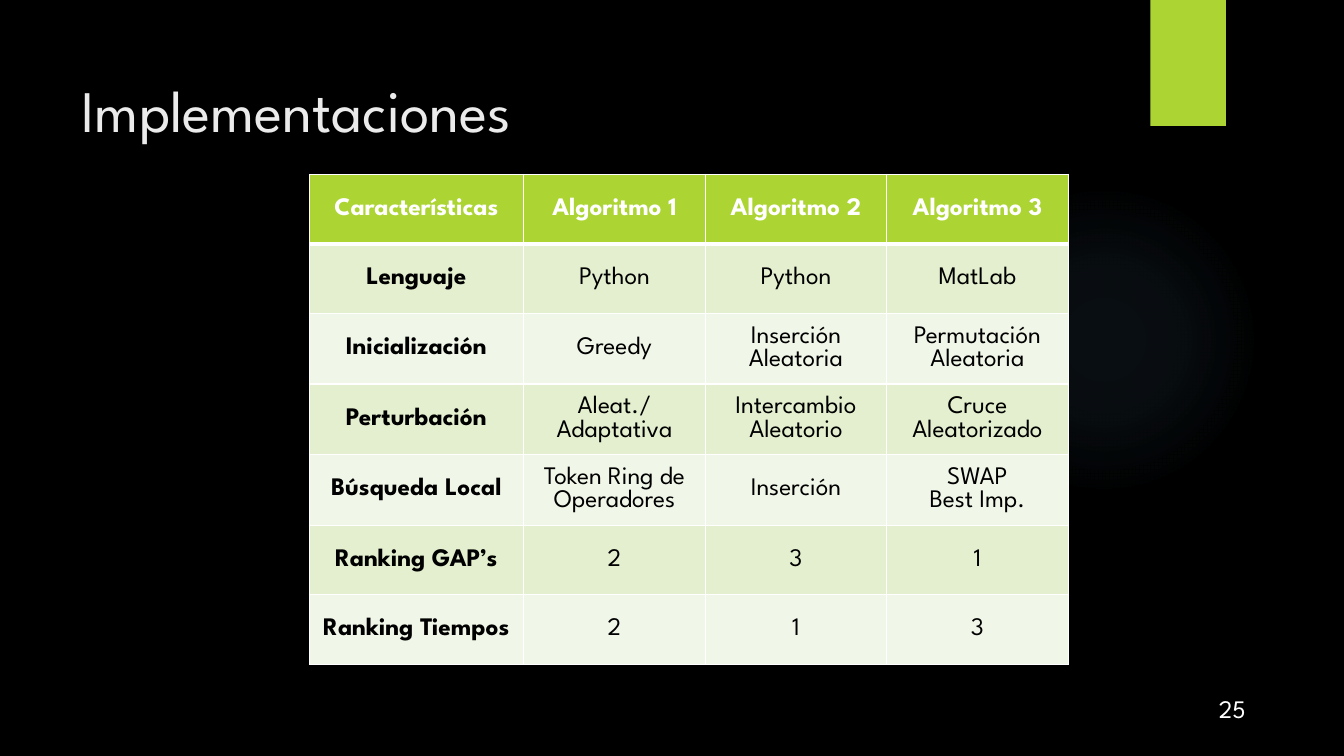
from dataclasses import dataclass

from pptx import Presentation
from pptx.dml.color import RGBColor
from pptx.enum.shapes import MSO_SHAPE
from pptx.enum.text import MSO_ANCHOR, PP_ALIGN
from pptx.oxml import parse_xml
from pptx.oxml.ns import nsdecls
from pptx.util import Inches, Pt

FACE = "League Spartan"
HUES = {
    "back": "000000", "glow": "7AC4F0", "lime": "ACD433", "title": "EBEBEB",
    "white": "FFFFFF", "black": "000000", "odd": "E3EFCE", "even": "F1F7E8",
}
COLS = [2.12, 1.81, 1.79, 1.81]
ROW = 0.69
ROWS = [
    ["Características", "Algoritmo 1", "Algoritmo 2", "Algoritmo 3"],
    ["Lenguaje", "Python", "Python", "MatLab"],
    ["Inicialización", "Greedy", "Inserción Aleatoria", "Permutación Aleatoria"],
    ["Perturbación", "Aleat./\nAdaptativa", "Intercambio\nAleatorio",
     "Cruce\nAleatorizado"],
    ["Búsqueda Local", "Token Ring de Operadores", "Inserción", "SWAP\nBest Imp."],
    ["Ranking GAP’s", "2", "3", "1"],
    ["Ranking Tiempos", "2", "1", "3"],
]


@dataclass
class Label:
    text: str
    box: tuple[float, float, float, float]
    size: int
    hue: str
    anchor: MSO_ANCHOR
    top: float = 0.05


LABELS = [
    Label("25", (11.99, 6.83, 1.03, 0.4), 18, "white", MSO_ANCHOR.BOTTOM),
    Label("Implementaciones", (0.71, 0.5, 10.29, 1.53), 42, "title",
          MSO_ANCHOR.TOP, 0.23),
]


def color(hue: str) -> RGBColor:
    return RGBColor.from_string(HUES[hue])


def style(para, hue: str, size: int = 18, bold: bool = False) -> None:
    look = {"name": FACE, "size": Pt(size), "bold": bold}
    for run in para.runs:
        for key, value in look.items():
            setattr(run.font, key, value)
        run.font.color.rgb = color(hue)


def add_form(slide, kind: MSO_SHAPE, box: tuple, hue: str):
    form = slide.shapes.add_shape(kind, *map(Inches, box))
    form.shadow.inherit = False
    form.fill.solid()
    form.fill.fore_color.rgb = color(hue)
    form.line.fill.background()
    return form


def add_glow(slide) -> None:
    form = add_form(slide, MSO_SHAPE.OVAL, (9.41, 1.83, 3.08, 3.08), "glow")
    stops = "".join(
        f'<a:gs pos="{pos * 1000}"><a:srgbClr val="{HUES["glow"]}">'
        f'<a:alpha val="{alpha * 1000}"/></a:srgbClr></a:gs>'
        for pos, alpha in [(0, 7), (36, 6), (69, 0)])
    grad = parse_xml(
        f'<a:gradFill {nsdecls("a")} rotWithShape="1"><a:gsLst>{stops}</a:gsLst>'
        '<a:path path="circle"><a:fillToRect l="50000" t="50000" r="50000" '
        'b="50000"/></a:path></a:gradFill>')
    props = form.element.spPr
    props.replace(props.find("{*}solidFill"), grad)


def add_tab(slide) -> None:
    """Lime bookmark hanging from the top edge, with a soft shadow."""
    form = add_form(slide, MSO_SHAPE.RECTANGLE, (11.41, 0, 0.75, 1.25), "lime")
    form.element.spPr.find("{*}effectLst").append(parse_xml(
        f'<a:outerShdw {nsdecls("a")} blurRad="{Pt(3)}" dist="{Pt(2)}" '
        f'dir="5400000"><a:srgbClr val="{HUES["black"]}">'
        '<a:alpha val="45000"/></a:srgbClr></a:outerShdw>'))


def add_label(slide, label: Label) -> None:
    frame = slide.shapes.add_textbox(*map(Inches, label.box)).text_frame
    look = {"word_wrap": True, "vertical_anchor": label.anchor,
            "margin_top": Inches(label.top), "text": label.text}
    for key, value in look.items():
        setattr(frame, key, value)
    style(frame.paragraphs[0], label.hue, label.size)


def add_edges(cell, head: bool, below: bool) -> None:
    """White rules; the one under the header row is thicker."""
    widths = {"L": 1, "R": 1, "T": 3 if below else 1, "B": 3 if head else 1}
    props = cell._tc.get_or_add_tcPr()
    for side, width in widths.items():
        props.append(parse_xml(
            f'<a:ln{side} {nsdecls("a")} w="{Pt(width)}"><a:solidFill>'
            f'<a:srgbClr val="{HUES["white"]}"/></a:solidFill></a:ln{side}>'))


def add_grid(slide) -> None:
    box = (3.07, 1.73, sum(COLS), ROW * len(ROWS))
    grid = slide.shapes.add_table(len(ROWS), len(COLS), *map(Inches, box)).table
    for col, width in zip(grid.columns, COLS):
        col.width = Inches(width)
    for r, texts in enumerate(ROWS):
        grid.rows[r].height = Inches(ROW)
        fill = "lime" if r == 0 else "odd" if r % 2 else "even"
        for c, text in enumerate(texts):
            cell = grid.cell(r, c)
            cell.text = text
            cell.vertical_anchor = MSO_ANCHOR.MIDDLE
            add_edges(cell, r == 0, r == 1)
            cell.fill.solid()
            cell.fill.fore_color.rgb = color(fill)
            for para in cell.text_frame.paragraphs:
                para.alignment = PP_ALIGN.CENTER
                style(para, "black" if r else "white", bold=r == 0 or c == 0)


def main() -> None:
    deck = Presentation()
    deck.slide_width, deck.slide_height = Inches(13.33), Inches(7.5)
    slide = deck.slides.add_slide(deck.slide_layouts[6])
    slide.background.fill.solid()
    slide.background.fill.fore_color.rgb = color("back")
    add_glow(slide)
    add_tab(slide)
    for label in LABELS:
        add_label(slide, label)
    add_grid(slide)
    deck.save("out.pptx")


if __name__ == "__main__":
    main()
